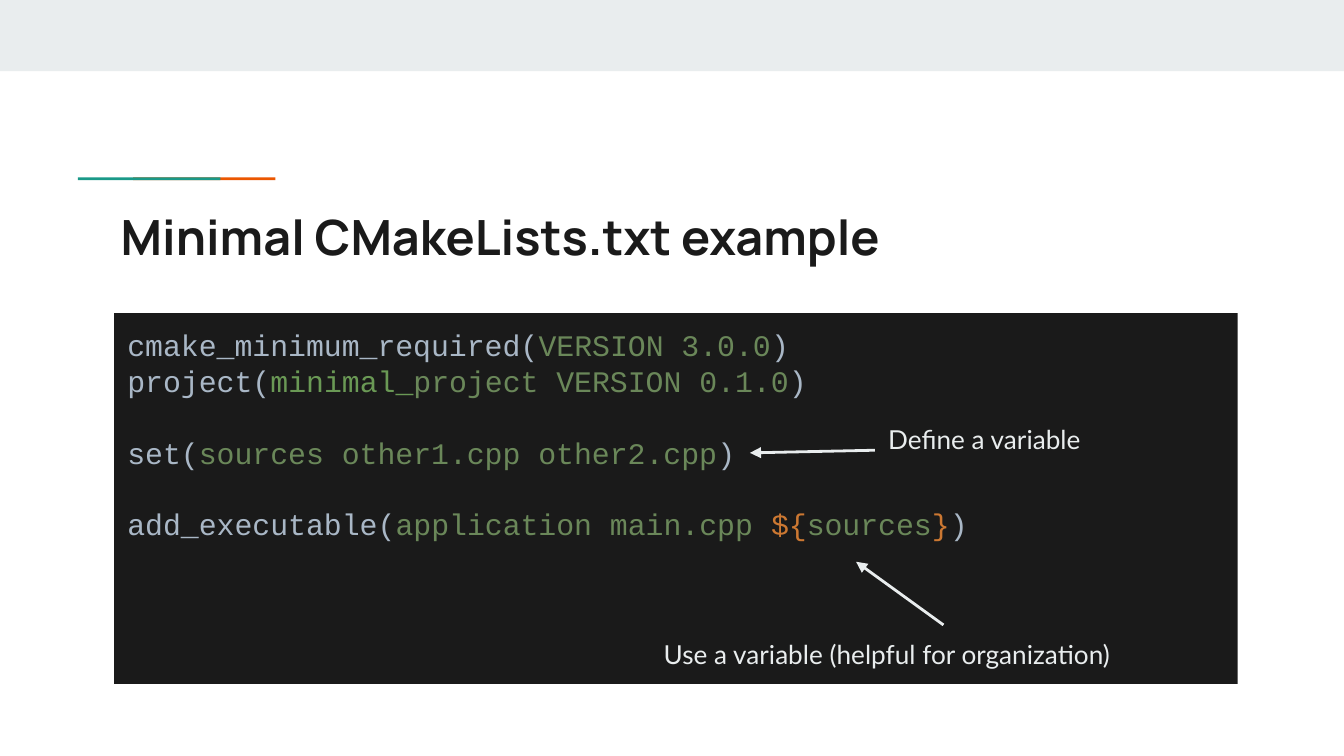
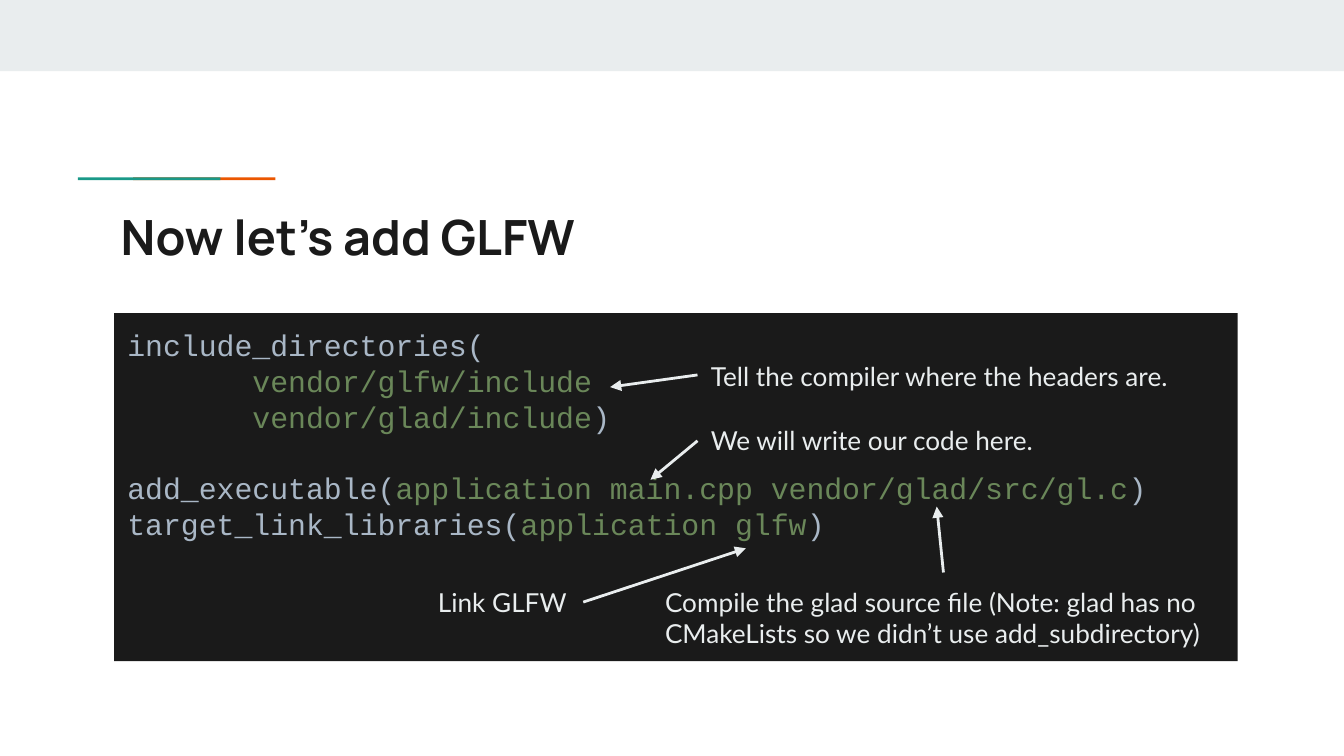
from dataclasses import dataclass
from pptx import Presentation, util as u
from pptx.dml.color import RGBColor
from pptx.enum import shapes, text
from pptx.oxml import ns
from lxml import etree


@dataclass(frozen=True)
class Theme:
    ink: str = "1A1A1A"
    pale: str = "E9EDEE"
    teal: str = "1A9988"
    rust: str = "EB5600"
    call: str = "A9B7C6"
    arg: str = "6A8759"
    name: str = "6A9955"
    mark: str = "CC7832"
    head: str = "Manrope"
    body: str = "Lato"
    mono: str = "Courier New"
    big: int = 26
    code: int = 16
    note: int = 14
    gap: float = 19.3


T = Theme()


def style(run, font, size, color, bold=False):
    run.font.name = font
    run.font.size = u.Pt(size)
    run.font.bold = bold
    run.font.color.rgb = RGBColor.from_string(color)


def rect(slide, x, y, w, h, color):
    box = slide.shapes.add_shape(
        shapes.MSO_SHAPE.RECTANGLE,
        u.Inches(x), u.Inches(y), u.Inches(w), u.Inches(h))
    box.shadow.inherit = False
    box.fill.solid()
    box.fill.fore_color.rgb = RGBColor.from_string(color)
    box.line.fill.background()
    return box


def frame(shape):
    tf = shape.text_frame
    tf.word_wrap = True
    tf.vertical_anchor = text.MSO_ANCHOR.TOP
    tf.margin_left = tf.margin_right = u.Inches(0.1)
    tf.margin_top = tf.margin_bottom = u.Inches(0.1)
    return tf


def label(slide, words, x, y, w, h, font=T.body, size=T.note,
          color=T.pale, bold=False):
    tf = frame(slide.shapes.add_textbox(
        u.Inches(x), u.Inches(y), u.Inches(w), u.Inches(h)))
    tf.text = words
    style(tf.paragraphs[0].runs[0], font, size, color, bold)


def arrow(slide, start, end):
    line = slide.shapes.add_connector(
        shapes.MSO_CONNECTOR.STRAIGHT, *map(u.Inches, start + end))
    line.line.color.rgb = RGBColor.from_string(T.pale)
    line.line.width = u.Pt(1.5)
    etree.SubElement(line.line._get_or_add_ln(), ns.qn("a:tailEnd"),
                     type="triangle")
    etree.SubElement(line._element.spPr, ns.qn("a:effectLst"))


def panel(slide, h, blocks):
    tf = frame(rect(slide, 0.85, 2.33, 8.36, h, T.ink))
    para = None
    for i, block in enumerate(blocks):
        for j, parts in enumerate(block):
            para = tf.add_paragraph() if para else tf.paragraphs[0]
            para.alignment = text.PP_ALIGN.LEFT
            if i and not j:
                para.space_before = u.Pt(T.gap)
            for color, words in parts:
                run = para.add_run()
                run.text = words
                style(run, T.mono, T.code, color)


def call(func, *args):
    return [(T.call, func + "("), *args, (T.call, ")")]


def arg(words):
    return T.arg, words


def base(deck, title):
    slide = deck.slides.add_slide(deck.slide_layouts[6])
    rect(slide, 0, 0, 10, 0.53, T.pale)
    for x, color in ((0.99, T.rust), (0.58, T.teal)):
        rect(slide, x, 1.32, 1.06, 0.02, color)
    label(slide, title, 0.8, 1.44, 8.41, 0.59, T.head, T.big, T.ink, True)
    return slide


def minimal(deck):
    slide = base(deck, "Minimal CMakeLists.txt example")
    panel(slide, 2.76, [
        [call("cmake_minimum_required", arg("VERSION 3.0.0")),
         call("project", (T.name, "minimal_"), arg("project VERSION 0.1.0"))],
        [call("set", arg("sources other1.cpp other2.cpp"))],
        [call("add_executable", arg("application main.cpp "),
              (T.mark, "${"), arg("sources"), (T.mark, "}"))],
    ])
    label(slide, "Define a variable", 6.51, 3.05, 2.49, 0.59)
    arrow(slide, (6.51, 3.35), (5.58, 3.37))
    label(slide, "Use a variable (helpful for organization)",
          4.84, 4.65, 4.37, 0.44)
    arrow(slide, (7.02, 4.65), (6.37, 4.18))


def library(deck):
    slide = base(deck, "Now let’s add GLFW")
    panel(slide, 2.59, [
        [[(T.call, "include_directories(")],
         [arg("       vendor/glfw/include")],
         [arg("       vendor/glad/include"), (T.call, ")")]],
        [call("add_executable",
              arg("application main.cpp vendor/glad/src/gl.c")),
         call("target_link_libraries", arg("application glfw"))],
    ])
    notes = [
        ("Compile the glad source file (Note: glad has no CMakeLists "
         "so we didn’t use add_subdirectory)",
         4.85, 4.26, 4.33, (7.02, 4.26), (6.97, 3.77)),
        ("Tell the compiler where the headers are.",
         5.19, 2.58, 3.79, (5.19, 2.79), (4.54, 2.88)),
        ("Link GLFW", 3.16, 4.26, 1.18, (4.34, 4.48), (5.55, 4.08)),
        ("We will write our code here.",
         5.19, 3.06, 3.79, (5.19, 3.28), (4.84, 3.57)),
    ]
    for words, x, y, w, start, end in notes:
        label(slide, words, x, y, w, 0.44)
        arrow(slide, start, end)


def main():
    deck = Presentation()
    deck.slide_width = u.Inches(10)
    deck.slide_height = u.Inches(10 * 9 / 16)
    minimal(deck)
    library(deck)
    deck.save("out.pptx")


if __name__ == "__main__":
    main()
